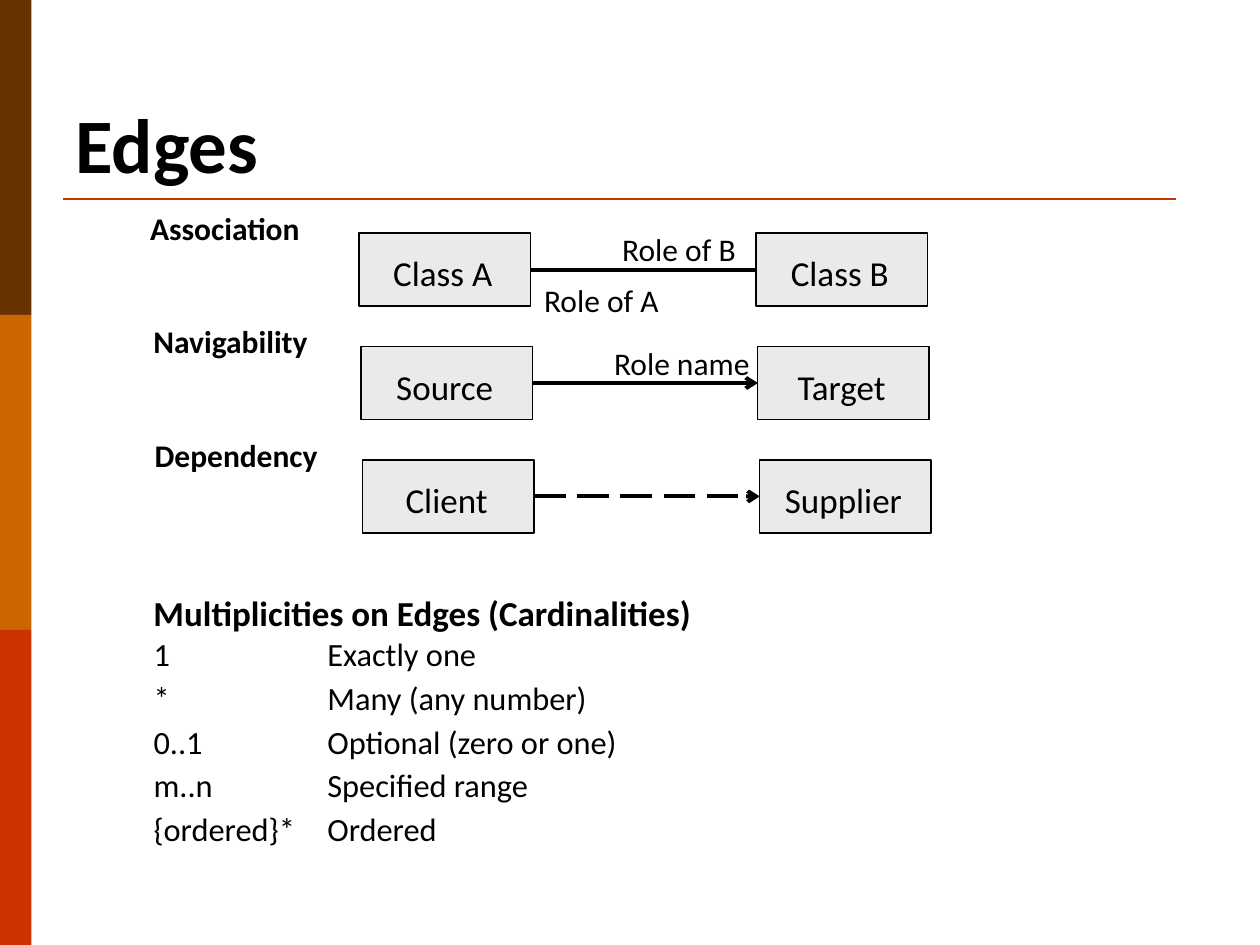
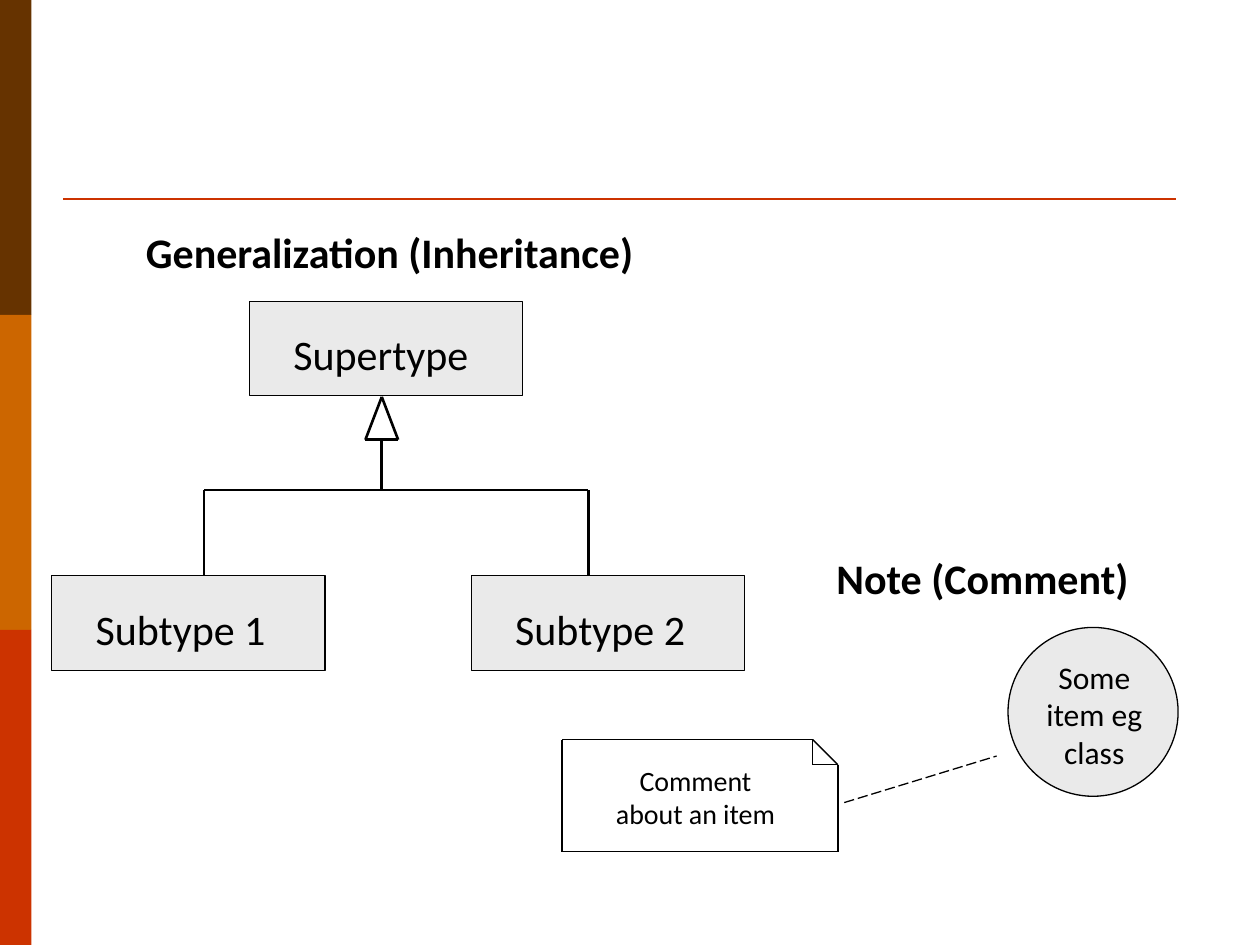
from pptx import Presentation
from pptx.dml.color import RGBColor
from pptx.enum.dml import MSO_LINE
from pptx.enum.shapes import MSO_CONNECTOR, MSO_SHAPE
from pptx.enum.text import MSO_ANCHOR, PP_ALIGN
from pptx.oxml.ns import qn
from pptx.util import Inches, Pt
from lxml.etree import SubElement

BLACK = RGBColor(0x00, 0x00, 0x00)
BOX_GRAY = RGBColor(0xEA, 0xEA, 0xEA)
BROWN = RGBColor(0x66, 0x33, 0x00)
ORANGE = RGBColor(0xCC, 0x66, 0x00)
RED = RGBColor(0xCC, 0x33, 0x00)

FONT = "Calibri"
BAND_W, BAND_H = 0.25, 2.5
CLASS_W, CLASS_H = 1.36, 0.58
TYPE_W, TYPE_H = 2.17, 0.75
TARGET_DX = 3.15  # from the left box of a row to the right one
RIGHT_SIDE, LEFT_SIDE = 3, 1


def add_filled(s, kind, x, y, w, h, fill, outline=None):
    sp = s.shapes.add_shape(kind, Inches(x), Inches(y), Inches(w), Inches(h))
    sp.shadow.inherit = False
    sp.fill.solid()
    sp.fill.fore_color.rgb = fill
    if outline is None:
        sp.line.fill.background()
    else:
        sp.line.color.rgb = outline
        sp.line.width = Pt(0.75)
    return sp


def add_text(s, x, y, w, h, lines, size, bold=False, align=PP_ALIGN.LEFT,
             anchor=MSO_ANCHOR.TOP):
    """Add a text box with one paragraph for each line and return its frame."""
    tf = s.shapes.add_textbox(Inches(x), Inches(y), Inches(w), Inches(h)).text_frame
    tf.word_wrap = True
    tf.vertical_anchor = anchor
    for i, line in enumerate(lines):
        p = tf.paragraphs[0] if i == 0 else tf.add_paragraph()
        p.alignment = align
        r = p.add_run()
        r.text = line
        r.font.name = FONT
        r.font.size = Pt(size)
        r.font.bold = bold
        r.font.color.rgb = BLACK
    return tf


def add_heading(s, x, y, w, h, text, size):
    add_text(s, x, y, w, h, [text], size, bold=True, anchor=MSO_ANCHOR.BOTTOM)


def add_line(s, start, end, width, color=BLACK, dashed=False, arrow=False):
    points = [Inches(v) for v in (*start, *end)]
    line = s.shapes.add_connector(MSO_CONNECTOR.STRAIGHT, *points)
    line.line.color.rgb = color
    line.line.width = Pt(width)
    if dashed:
        line.line.dash_style = MSO_LINE.LONG_DASH
    if arrow:
        SubElement(line.line._get_or_add_ln(), qn("a:tailEnd"), type="arrow")
    SubElement(line._element.spPr, qn("a:effectLst"))
    return line


def add_path(s, points, width):
    """Join the points in turn with straight lines."""
    for start, end in zip(points, points[1:]):
        add_line(s, start, end, width)


def new_slide(prs):
    """Add a blank slide with the side bands and the rule below the title."""
    s = prs.slides.add_slide(prs.slide_layouts[6])
    for i, color in enumerate((BROWN, ORANGE, RED)):
        add_filled(s, MSO_SHAPE.RECTANGLE, 0, i * BAND_H, BAND_W, BAND_H, color)
    add_line(s, (0.5, 1.58), (9.33, 1.58), 1.5, RED)
    return s


def class_box(s, x, y, name):
    box = add_filled(s, MSO_SHAPE.RECTANGLE, x, y, CLASS_W, CLASS_H, BOX_GRAY, BLACK)
    add_text(s, x, y + 0.1, 1.33, 0.44, [name], 20, align=PP_ALIGN.CENTER)
    return box


def edge_row(s, x, y, heading_x, heading, source, target, roles=(), **style):
    """Draw one kind of edge; roles hold (text, dx, dy, width)."""
    add_text(s, heading_x, y - 0.24, 1.53, 0.4, [heading], 18, bold=True,
             align=PP_ALIGN.CENTER)
    left_box = class_box(s, x, y, source)
    right_box = class_box(s, x + TARGET_DX, y, target)
    middle = y + CLASS_H / 2
    edge = add_line(s, (x + CLASS_W, middle), (x + TARGET_DX, middle), 2.25, **style)
    edge.begin_connect(left_box, RIGHT_SIDE)
    edge.end_connect(right_box, LEFT_SIDE)
    for text, dx, dy, width in roles:
        add_text(s, x + dx, y + dy, width, 0.4, [text], 18)


def multiplicities(s, x, y):
    add_heading(s, x, y, 7.03, 0.39, "Multiplicities on Edges (Cardinalities)", 20)
    lines = ["1\t\t\tExactly one", "*\t\t\tMany (any number)",
             "0..1\t\tOptional (zero or one)", "m..n\t\tSpecified range",
             "{ordered}*\tOrdered"]
    tf = add_text(s, x, y + 0.33, 7.51, 1.96, lines, 18.5)
    for i, p in enumerate(tf.paragraphs):
        pPr = p._p.get_or_add_pPr()
        pPr.set("marL", str(Inches(0.38)))
        pPr.set("indent", str(-Inches(0.38)))
        tabs = SubElement(pPr, qn("a:tabLst"))
        for stop in range(8):
            SubElement(tabs, qn("a:tab"), pos=str(Inches(stop)), algn="l")
        p.line_spacing = 0.9
        if i:
            p.space_before = Pt(5)


def edges_slide(prs):
    s = new_slide(prs)
    add_heading(s, 0.5, 0.3, 9, 1.25, "Edges", 44)
    rows = [
        ("Association", "Class A", "Class B",
         [("Role of A", 1.37, 0.33, 1.2), ("Role of B", 1.99, -0.07, 1.2)], {}),
        ("Navigability", "Source", "Target",
         [("Role name", 1.91, -0.07, 1.3)], {"arrow": True}),
        ("Dependency", "Client", "Supplier", [], {"arrow": True, "dashed": True}),
    ]
    for i, (heading, source, target, roles, style) in enumerate(rows):
        edge_row(s, 2.85 + 0.015 * i, 1.85 + 0.9 * i, 1.02 + 0.045 * i,
                 heading, source, target, roles, **style)
    multiplicities(s, 1.12, 4.69)


def type_box(s, x, y, name):
    add_filled(s, MSO_SHAPE.RECTANGLE, x, y, TYPE_W, TYPE_H, BOX_GRAY, BLACK)
    add_text(s, x + 0.25, y + 0.17, 1.81, 0.5, [name], 24)


def generalization(s, x, y):
    """Draw the type tree; x is the left of the first subtype, y the top."""
    subtype_y = y + 2.18
    type_box(s, x + 1.57, y, "Supertype")
    type_box(s, x, subtype_y, "Subtype 1")
    type_box(s, x + 3.33, subtype_y, "Subtype 2")

    stem_x, tip_y, base_y, branch_y = x + 2.62, y + 0.76, y + 1.1, y + 1.5
    left, right = stem_x - 0.13, stem_x + 0.13
    add_path(s, [(left, base_y), (stem_x, tip_y), (right, base_y), (left, base_y)], 1.5)
    add_path(s, [(stem_x, base_y), (stem_x, branch_y)], 1.5)
    first_x, second_x = x + 1.21, x + 4.26
    add_path(s, [(first_x, subtype_y), (first_x, branch_y),
                 (second_x, branch_y), (second_x, subtype_y)], 1.5)


def comment_note(s, x, y, w, h, fold):
    right, bottom = x + w, y + h
    fold_x, fold_y = right - fold, y + fold
    add_path(s, [(fold_x, y), (x, y), (x, bottom), (right, bottom), (right, fold_y),
                 (fold_x, y), (fold_x, fold_y), (right, fold_y)], 0.75)
    add_text(s, x + 0.29, y + 0.14, 1.54, 0.64, ["Comment about an item"], 16,
             align=PP_ALIGN.CENTER)


def noted_item(s, x, y):
    add_filled(s, MSO_SHAPE.OVAL, x, y, 1.35, 1.34, BOX_GRAY, BLACK)
    add_text(s, x + 0.07, y + 0.19, 1.23, 1, ["Some item eg class"], 18,
             align=PP_ALIGN.CENTER)


def generalization_slide(prs):
    s = new_slide(prs)
    add_heading(s, 1.06, 1.62, 4.33, 0.63, "Generalization (Inheritance)", 24)
    generalization(s, 0.41, 2.39)
    add_heading(s, 6.54, 4.14, 3.03, 0.69, "Note (Comment)", 24)
    comment_note(s, 4.46, 5.87, 2.19, 0.89, 0.2)
    add_line(s, (6.7, 6.37), (7.91, 6), 0.75, dashed=True)
    noted_item(s, 8, 4.98)


def main():
    prs = Presentation()
    prs.slide_width, prs.slide_height = Inches(10), Inches(7.5)
    edges_slide(prs)
    generalization_slide(prs)
    prs.save("out.pptx")


if __name__ == "__main__":
    main()
